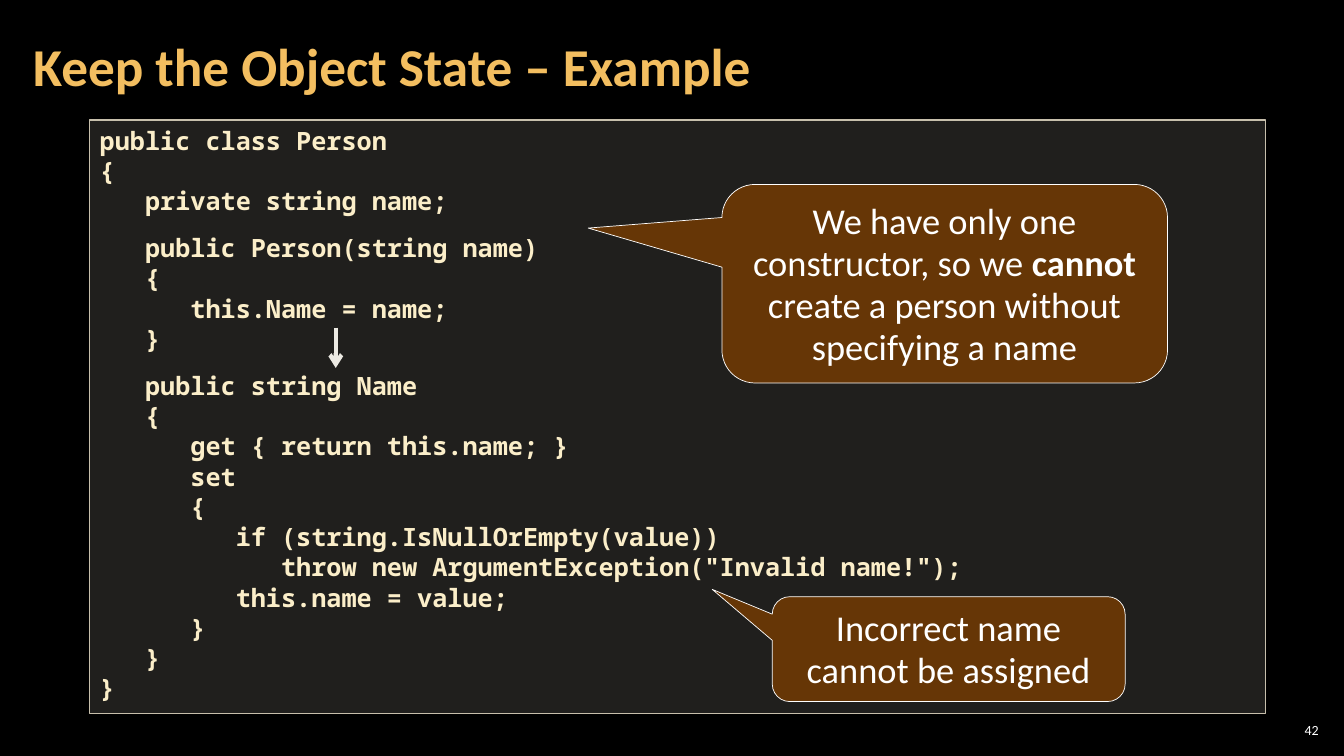
from lxml.etree import SubElement
from pptx import Presentation
from pptx.dml.color import RGBColor
from pptx.enum.shapes import MSO_CONNECTOR, MSO_SHAPE
from pptx.enum.text import MSO_ANCHOR, PP_ALIGN
from pptx.oxml.ns import qn
from pptx.util import Inches, Pt

CODE = """public class Person
{
   private string name;
   public Person(string name)
   {
      this.Name = name;
   }
   public string Name
   {
      get { return this.name; }
      set
      {
         if (string.IsNullOrEmpty(value))
            throw new ArgumentException("Invalid name!");
         this.name = value;
      }
   }
}"""


def color(value):
    return RGBColor.from_string(value)


class SlideBuilder:
    text_font = "Calibri"
    code_font = "Noto Sans Mono"
    white = "FFFFFF"
    gold = "F3BE60"
    cream = "FBEEC9"
    brown = "663606"

    def __init__(self, page):
        self.page = page
        page.background.fill.solid()
        page.background.fill.fore_color.rgb = color("000000")

    def set_font(self, paragraph, size, shade, name=text_font, bold=False):
        font = paragraph.font
        font.name, font.size, font.bold = name, Pt(size), bold
        font.color.rgb = color(shade)

    def label(self, text, bounds, size, shade, side_inset, alignment, bold=False):
        box = self.page.shapes.add_textbox(*map(Inches, bounds))
        frame = box.text_frame
        frame.word_wrap = True
        frame.vertical_anchor = MSO_ANCHOR.MIDDLE
        frame.margin_left = frame.margin_right = Inches(side_inset)
        frame.margin_top = frame.margin_bottom = Inches(0.04)
        paragraph = frame.paragraphs[0]
        paragraph.text = text
        paragraph.alignment = alignment
        self.set_font(paragraph, size, shade, bold=bold)

    def panel(self, kind, bounds, fill, line, width):
        shape = self.page.shapes.add_shape(kind, *map(Inches, bounds))
        shape.shadow.inherit = False
        shape.fill.solid()
        shape.fill.fore_color.rgb = color(fill)
        shape.line.color.rgb = color(line)
        shape.line.width = Pt(width)
        shape.text_frame.word_wrap = True
        return shape

    def code(self, text, bounds):
        box = self.panel(MSO_SHAPE.RECTANGLE, bounds, "D9D5C7", "C7BFAC", 1)
        shade = box.fill._xPr.find(qn("a:solidFill"))[0]
        SubElement(shade, qn("a:alpha"), val="15000")
        frame = box.text_frame
        frame.vertical_anchor = MSO_ANCHOR.TOP
        for index, line in enumerate(text.splitlines()):
            paragraph = frame.add_paragraph() if index else frame.paragraphs[0]
            paragraph.text = line
            paragraph.alignment = PP_ALIGN.LEFT
            if line.startswith("   public"):
                paragraph.space_before = Pt(12)
            self.set_font(paragraph, 18, self.cream, self.code_font, True)

    def callout(self, pieces, bounds, pointer):
        bubble = self.panel(MSO_SHAPE.ROUNDED_RECTANGULAR_CALLOUT, bounds,
                            self.brown, self.white, 0.5)
        bubble.adjustments[0], bubble.adjustments[1] = pointer
        paragraph = bubble.text_frame.paragraphs[0]
        paragraph.alignment = PP_ALIGN.CENTER
        paragraph.line_spacing = Pt(30)
        self.set_font(paragraph, 26, self.white)
        for text, bold in pieces:
            span = paragraph.add_run()
            span.text = text
            if bold:
                span.font.bold = True

    def arrow(self, start, end):
        arrow = self.page.shapes.add_connector(
            MSO_CONNECTOR.STRAIGHT, *map(Inches, start + end))
        arrow.line.color.rgb = color("ECEAE3")
        arrow.line.width = Pt(3)
        SubElement(arrow.line._get_or_add_ln(), qn("a:tailEnd"), type="arrow")
        SubElement(arrow._element.spPr, qn("a:effectLst"))


def main():
    deck = Presentation()
    deck.slide_width, deck.slide_height = Inches(13.33), Inches(7.5)
    slide = SlideBuilder(deck.slides.add_slide(deck.slide_layouts[6]))
    slide.label("42", (12.65, 7.14, 0.47, 0.21), 10, slide.white, 0.04,
                PP_ALIGN.RIGHT)
    slide.label("Keep the Object State – Example", (0.21, 0.04, 10.47, 1.21),
                38, slide.gold, 0.12, PP_ALIGN.LEFT, bold=True)
    slide.code(CODE, (0.89, 1.19, 11.66, 5.89))
    slide.arrow((3.33, 3.25), (3.33, 3.65))
    slide.callout([("We have only one constructor, so we ", False),
                   ("cannot", True),
                   (" create a person without specifying a name", False)],
                  (7.16, 1.83, 4.42, 1.97), (-0.8, -0.28))
    slide.callout([("Incorrect name cannot be assigned", False)],
                  (7.66, 5.92, 3.5, 1.04), (-0.67, -0.57))
    deck.save("out.pptx")


if __name__ == "__main__":
    main()
